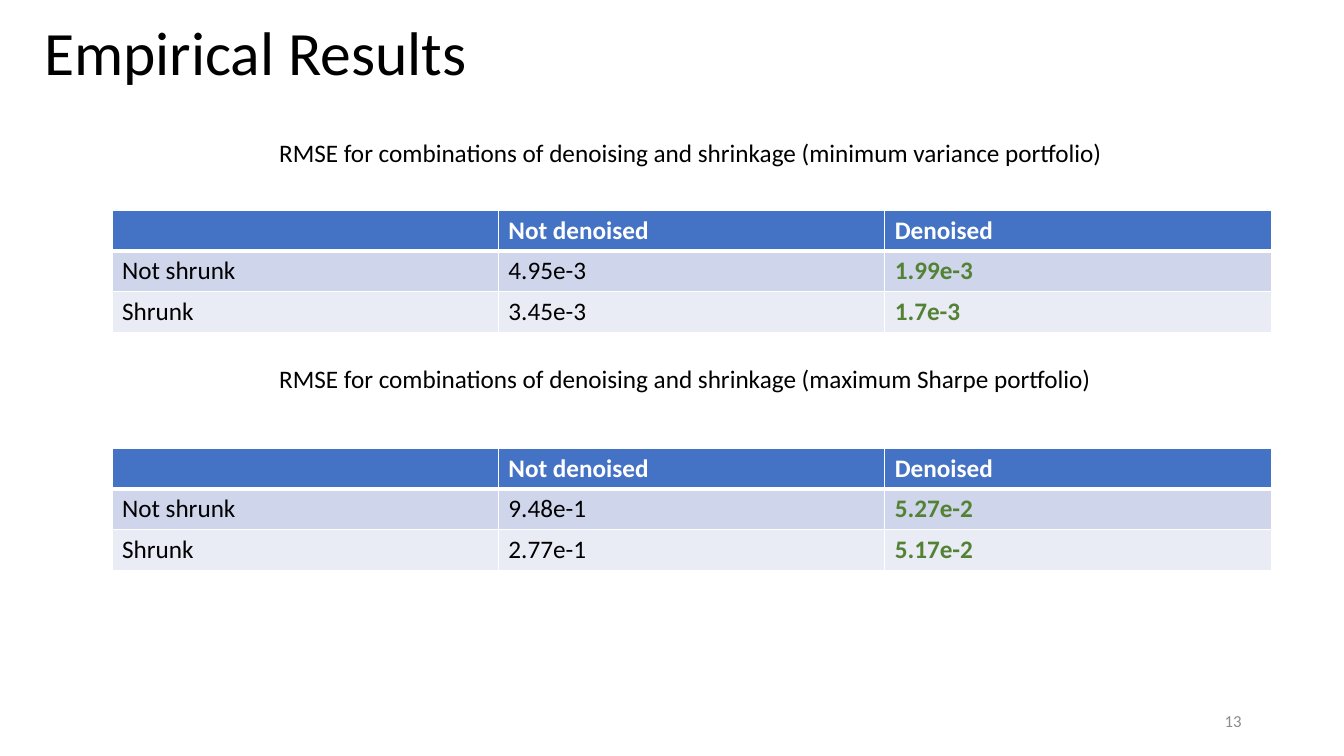
from dataclasses import dataclass

from lxml.etree import SubElement
from pptx import Presentation
from pptx.dml.color import RGBColor as Color
from pptx.enum.text import MSO_ANCHOR as Anchor, MSO_AUTO_SIZE as AutoSize, PP_ALIGN as Align
from pptx.oxml.ns import qn
from pptx.slide import Slide
from pptx.table import _Cell as Cell
from pptx.text.text import _Paragraph as Paragraph
from pptx.util import Pt


@dataclass(frozen=True)
class Theme:
    font: str = "Calibri"
    title_size: float = 44
    body_size: float = 18
    number_size: float = 12
    ink: str = "000000"
    paper: str = "FFFFFF"
    header: str = "4472C4"
    bands: tuple[str, ...] = ("CFD5EA", "E9EBF5")
    highlight: str = "548235"
    muted: str = "8C8C8C"
    thin_border: float = 1
    thick_border: float = 3


@dataclass(frozen=True)
class Label:
    text: str
    left: float
    top: float
    width: float
    height: float
    size: float
    color: str
    align: Align = Align.LEFT
    anchor: Anchor = Anchor.TOP
    wrap: bool = True
    line_spacing: float = 1.0


@dataclass(frozen=True)
class Result:
    portfolio: str
    caption_top: float
    caption_width: float
    table_top: float
    not_shrunk: tuple[str, str]
    shrunk: tuple[str, str]


THEME = Theme()
SLIDE_WIDTH, SLIDE_HEIGHT = 960, 540
TABLE_LEFT, TABLE_WIDTH, ROW_HEIGHT = 80, 828, 29.2
CAPTION_LEFT, CAPTION_HEIGHT = 192.3, 29

TITLE = Label("Empirical Results", 24.5, 12.2, 828, 55.4, THEME.title_size, THEME.ink,
              anchor=Anchor.MIDDLE, line_spacing=0.9)
PAGE_NUMBER = Label("13", 678, 500.5, 216, 28.8, THEME.number_size, THEME.muted,
                    align=Align.RIGHT, anchor=Anchor.MIDDLE)
RESULTS = (
    Result("minimum variance", 94.5, 604, 150,
           ("4.95e-3", "1.99e-3"), ("3.45e-3", "1.7e-3")),
    Result("maximum Sharpe", 255.6, 602, 320,
           ("9.48e-1", "5.27e-2"), ("2.77e-1", "5.17e-2")),
)


def format_runs(paragraph: Paragraph, size: float, color: str, bold: bool = False) -> None:
    for run in paragraph.runs:
        run.font.name = THEME.font
        run.font.size = Pt(size)
        run.font.bold = bold
        run.font.color.rgb = Color.from_string(color)


def draw_label(slide: Slide, label: Label) -> None:
    shape = slide.shapes.add_textbox(Pt(label.left), Pt(label.top),
                                     Pt(label.width), Pt(label.height))
    frame = shape.text_frame
    frame.text = label.text
    frame.word_wrap = label.wrap
    frame.auto_size = AutoSize.NONE if label.wrap else AutoSize.SHAPE_TO_FIT_TEXT
    frame.vertical_anchor = label.anchor
    paragraph = frame.paragraphs[0]
    paragraph.alignment = label.align
    paragraph.line_spacing = label.line_spacing
    format_runs(paragraph, label.size, label.color)


def set_borders(cell: Cell, top: float, bottom: float) -> None:
    properties = cell._tc.get_or_add_tcPr()
    widths = {"L": THEME.thin_border, "R": THEME.thin_border, "T": top, "B": bottom}
    for side, width in widths.items():
        line = SubElement(properties, qn(f"a:ln{side}"), w=str(Pt(width)))
        SubElement(SubElement(line, qn("a:solidFill")), qn("a:srgbClr"), val=THEME.paper)


def draw_table(slide: Slide, result: Result) -> None:
    rows = (
        ("", "Not denoised", "Denoised"),
        ("Not shrunk", *result.not_shrunk),
        ("Shrunk", *result.shrunk),
    )
    fills = (THEME.header, *THEME.bands)
    last_column = len(rows[0]) - 1
    table = slide.shapes.add_table(len(rows), len(rows[0]), Pt(TABLE_LEFT), Pt(result.table_top),
                                   Pt(TABLE_WIDTH), Pt(ROW_HEIGHT * len(rows))).table
    for row_index, (texts, fill) in enumerate(zip(rows, fills)):
        table.rows[row_index].height = Pt(ROW_HEIGHT)
        is_header = row_index == 0
        for column_index, text in enumerate(texts):
            cell = table.cell(row_index, column_index)
            # The thick rule lies between the header and the first band
            set_borders(cell,
                        top=THEME.thick_border if row_index == 1 else THEME.thin_border,
                        bottom=THEME.thick_border if is_header else THEME.thin_border)
            cell.fill.solid()
            cell.fill.fore_color.rgb = Color.from_string(fill)
            cell.text_frame.text = text
            is_denoised = column_index == last_column
            color = THEME.paper if is_header else THEME.highlight if is_denoised else THEME.ink
            format_runs(cell.text_frame.paragraphs[0], THEME.body_size, color,
                        bold=is_header or is_denoised)


def draw_result(slide: Slide, result: Result) -> None:
    caption = f"RMSE for combinations of denoising and shrinkage ({result.portfolio} portfolio)"
    draw_label(slide, Label(caption, CAPTION_LEFT, result.caption_top, result.caption_width,
                            CAPTION_HEIGHT, THEME.body_size, THEME.ink, wrap=False))
    draw_table(slide, result)


def main() -> None:
    presentation = Presentation()
    presentation.slide_width = Pt(SLIDE_WIDTH)
    presentation.slide_height = Pt(SLIDE_HEIGHT)
    slide = presentation.slides.add_slide(presentation.slide_layouts[6])

    # Title
    draw_label(slide, TITLE)

    # Captioned result tables
    for result in RESULTS:
        draw_result(slide, result)

    # Page number
    draw_label(slide, PAGE_NUMBER)

    presentation.save("out.pptx")


if __name__ == "__main__":
    main()
